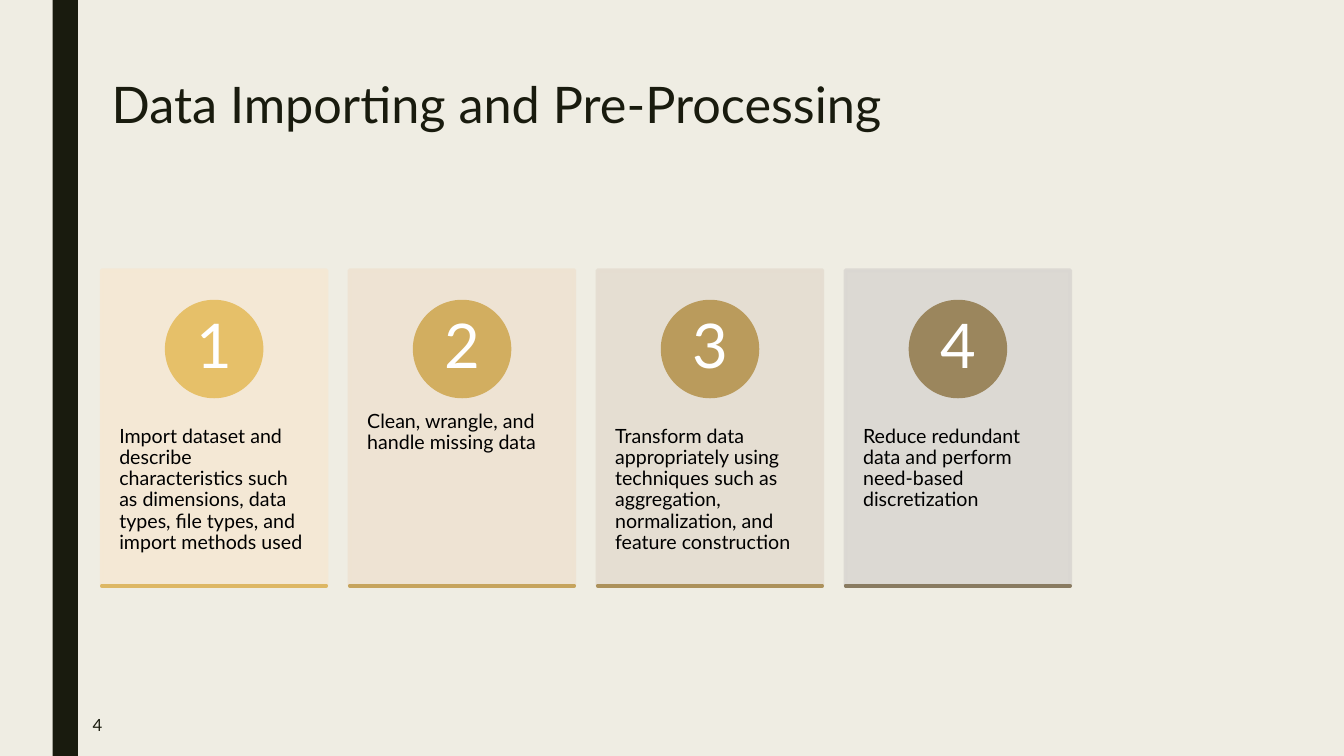
import pptx
import pptx.dml.color
import pptx.enum.shapes
import pptx.enum.text
import pptx.oxml.ns
import pptx.util
from dataclasses import dataclass
from lxml import etree

Pt = pptx.util.Pt
Shape = pptx.enum.shapes.MSO_SHAPE
Anchor = pptx.enum.text.MSO_ANCHOR
Align = pptx.enum.text.PP_ALIGN


@dataclass(frozen=True)
class Theme:
    font: str = "Lato"
    background: str = "EFEDE3"
    dark: str = "191B0E"
    body: str = "000000"
    white: str = "FFFFFF"
    title_size: int = 36
    digit_size: int = 44
    body_size: int = 14
    number_size: int = 12
    outline: float = 2.75


THEME = Theme()

# Card text, then panel, circle and baseline colours
CARDS = [
    ("Import dataset and describe characteristics such as dimensions, "
     "data types, file types, and import methods used", "F5E8D4", "E6C069", "DDB764"),
    ("Clean, wrangle, and handle missing data", "EEE3D2", "D2AE60", "C6A45D"),
    ("Transform data appropriately using techniques such as aggregation, "
     "normalization, and feature construction", "E5DDD1", "BA9B5C", "AC915B"),
    ("Reduce redundant data and perform need-based discretization",
     "DAD7D2", "9B865D", "897B61"),
]
CARD_LEFT, CARD_TOP, CARD_PITCH = 72.7, 193, 177.1
CARD_WIDTH, CARD_HEIGHT = 160.5, 225.4
CIRCLE_SIZE = 67.6


def rgb(color):
    return pptx.dml.color.RGBColor.from_string(color)


def add_figure(page, kind, left, top, width, height, color, outlined=True, opacity=None):
    figure = page.shapes.add_shape(kind, Pt(left), Pt(top), Pt(width), Pt(height))
    figure.shadow.inherit = False
    figure.fill.solid()
    figure.fill.fore_color.rgb = rgb(color)
    if outlined:
        figure.line.color.rgb = rgb(color)
        figure.line.width = Pt(THEME.outline)
    else:
        figure.line.fill.background()
    if opacity is not None:
        for node in figure.element.spPr.iter(pptx.oxml.ns.qn("a:srgbClr")):
            etree.SubElement(node, pptx.oxml.ns.qn("a:alpha"), val=str(opacity * 1000))
    return figure


def write_text(shape, text, size, color, insets=(7.2, 3.6), anchor=Anchor.TOP,
               align=Align.LEFT, spacing=0.9, wrap=True):
    frame = shape.text_frame
    frame.word_wrap = wrap
    frame.vertical_anchor = anchor
    frame.margin_left = frame.margin_right = Pt(insets[0])
    frame.margin_top = frame.margin_bottom = Pt(insets[1])
    para = frame.paragraphs[0]
    para.text = text
    para.alignment = align
    para.line_spacing = spacing
    para.font.name = THEME.font
    para.font.size = Pt(size)
    para.font.color.rgb = rgb(color)


def add_text(page, left, top, width, height, text, size, color, **options):
    box = page.shapes.add_textbox(Pt(left), Pt(top), Pt(width), Pt(height))
    write_text(box, text, size, color, **options)


def add_card(page, index, text, panel_color, circle_color, baseline_color):
    left = CARD_LEFT + index * CARD_PITCH
    add_figure(page, Shape.RECTANGLE, left, CARD_TOP, CARD_WIDTH, CARD_HEIGHT,
               panel_color, opacity=90)
    add_text(page, left, CARD_TOP + 85.6, CARD_WIDTH, 135.2, text,
             THEME.body_size, THEME.body, insets=(12.5, 26))
    circle = add_figure(page, Shape.OVAL, left + (CARD_WIDTH - CIRCLE_SIZE) / 2,
                        CARD_TOP + 22.5, CIRCLE_SIZE, CIRCLE_SIZE, circle_color)
    write_text(circle, str(index + 1), THEME.digit_size, THEME.white, insets=(0, 0),
               anchor=Anchor.MIDDLE, align=Align.CENTER, wrap=False)
    add_figure(page, Shape.RECTANGLE, left, CARD_TOP + CARD_HEIGHT, CARD_WIDTH, 0,
               baseline_color)


def main():
    deck = pptx.Presentation()
    deck.slide_width, deck.slide_height = Pt(960), Pt(540)
    page = deck.slides.add_slide(deck.slide_layouts[6])
    page.background.fill.solid()
    page.background.fill.fore_color.rgb = rgb(THEME.background)

    # Side band, title and page number
    add_figure(page, Shape.RECTANGLE, 37.6, 0, 18, 540, THEME.dark, outlined=False)
    add_text(page, 72.7, 54, 756, 116.6, "Data Importing and Pre-Processing",
             THEME.title_size, THEME.dark, spacing=0.89)
    add_text(page, 59, 502, 126, 31.7, "4", THEME.number_size, THEME.dark,
             anchor=Anchor.MIDDLE, spacing=1.0)

    # Numbered step cards
    for index, card in enumerate(CARDS):
        add_card(page, index, *card)

    deck.save("out.pptx")


if __name__ == "__main__":
    main()
